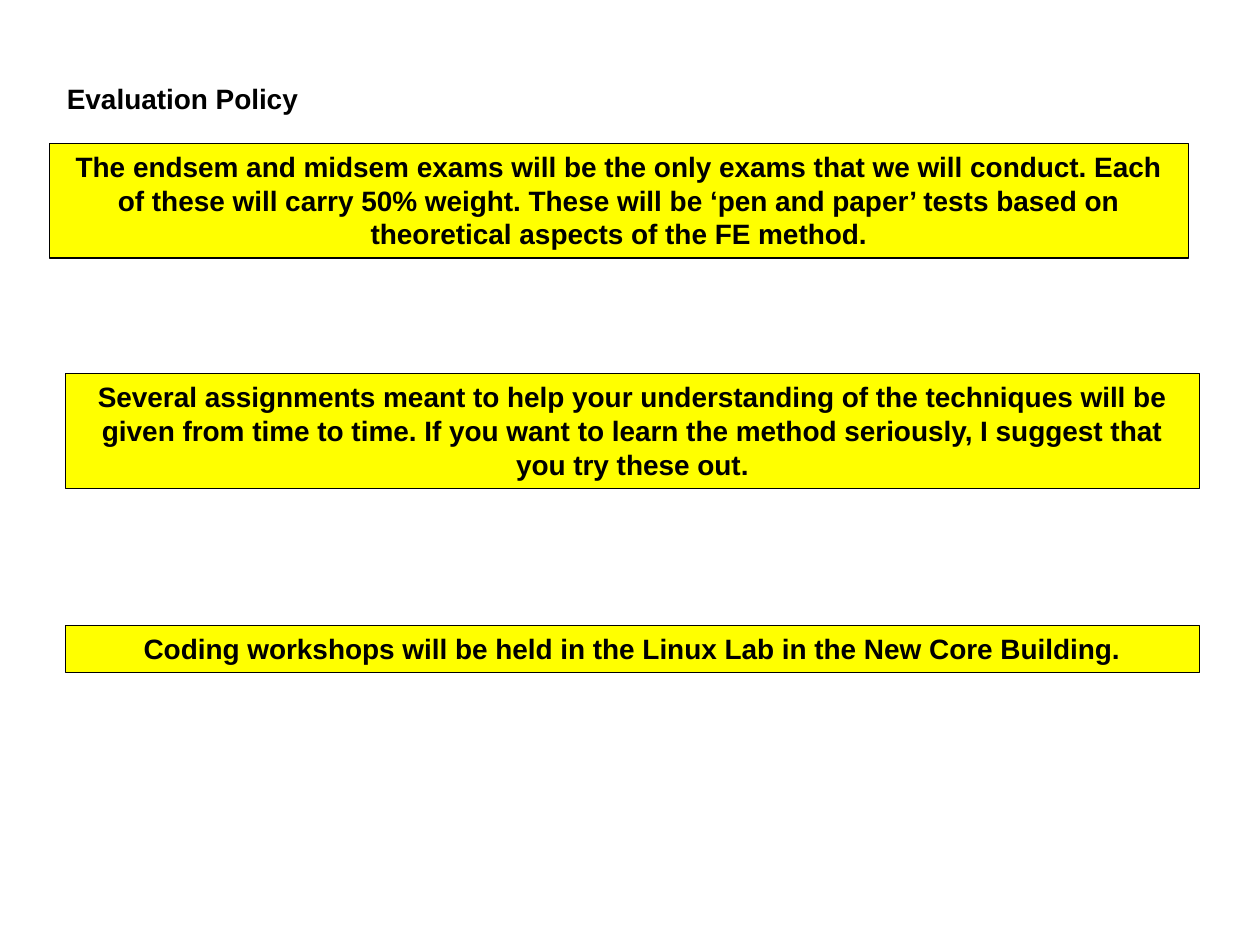
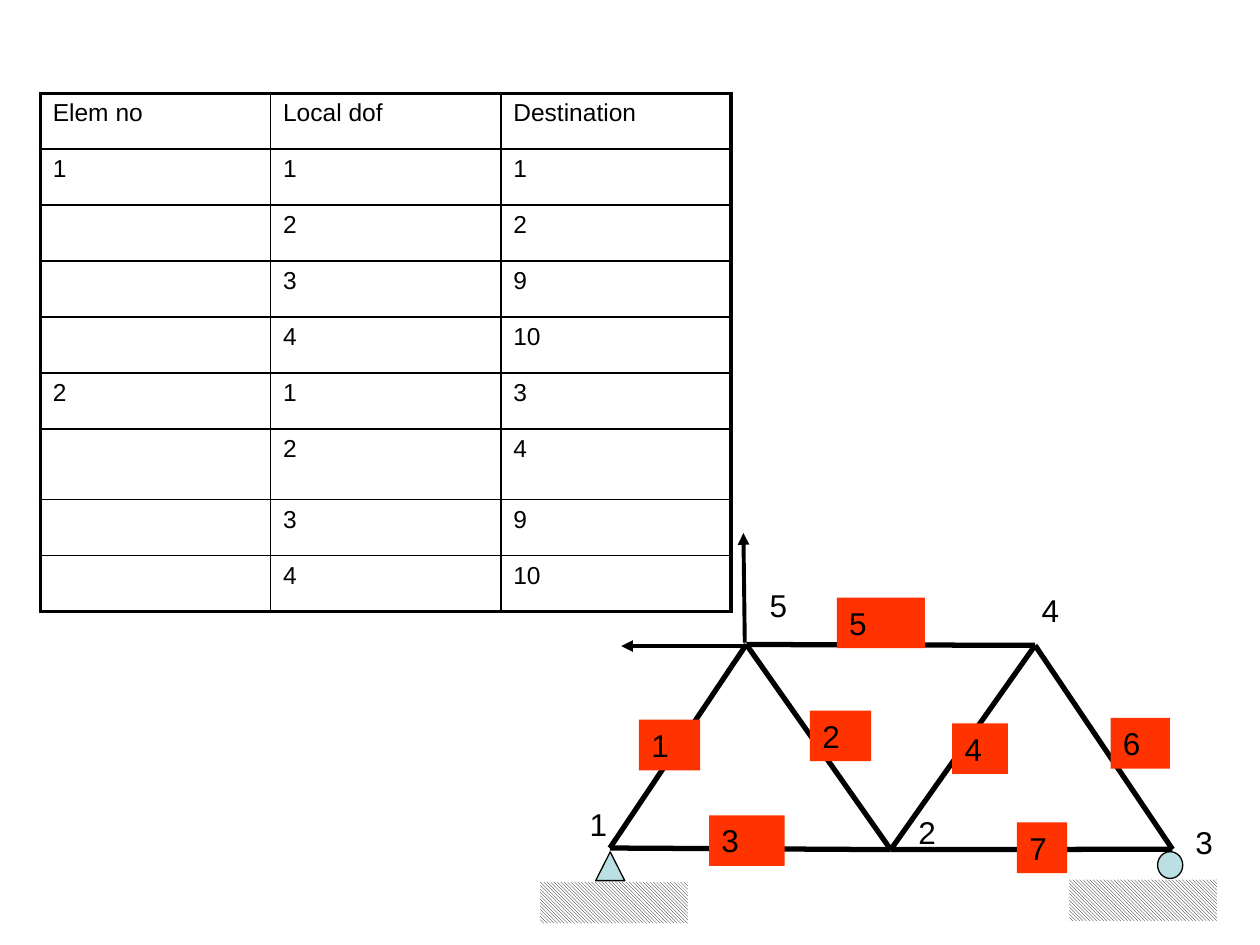
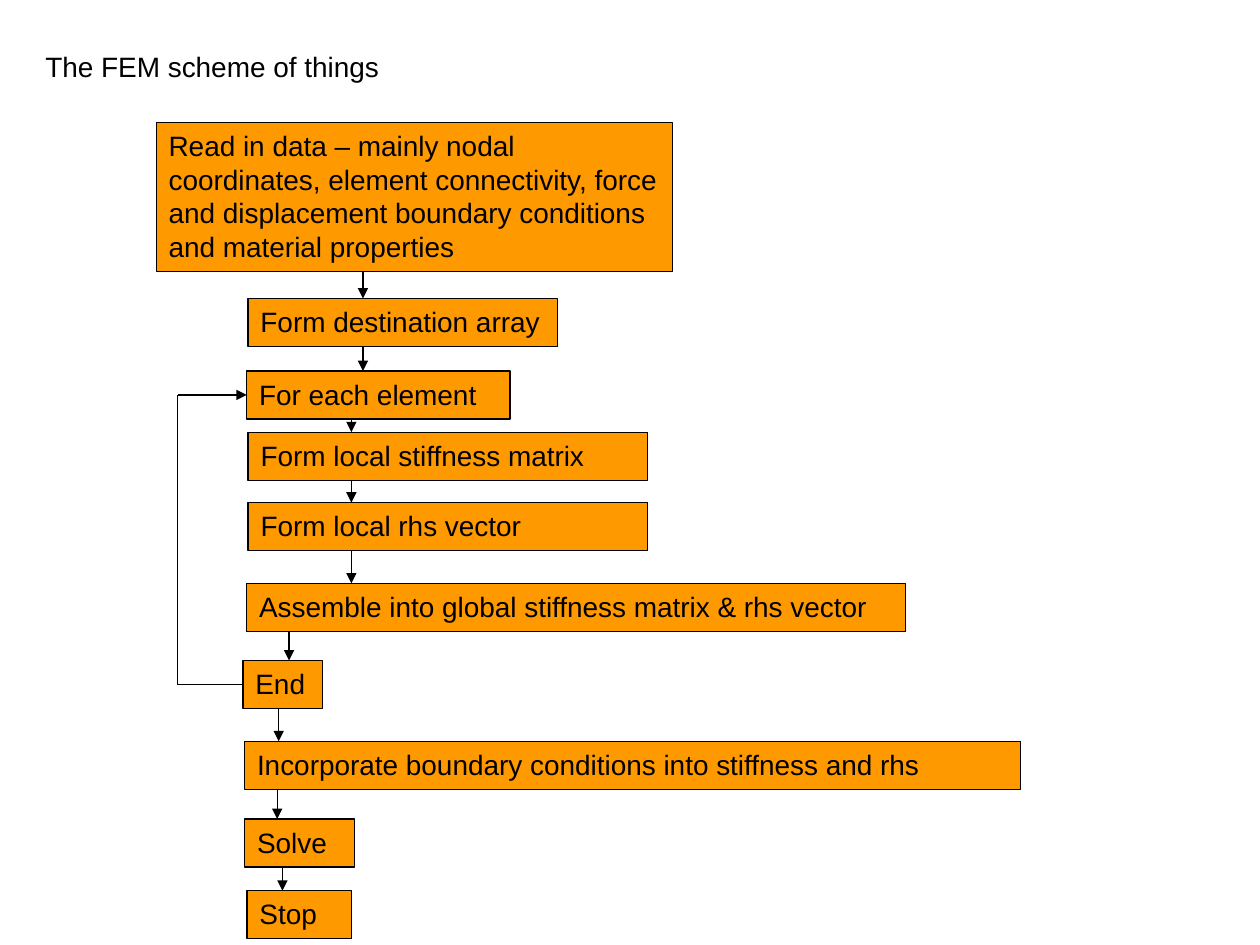
from dataclasses import dataclass
from itertools import pairwise

from lxml import etree
from pptx import Presentation
from pptx.dml.color import RGBColor
from pptx.enum.dml import MSO_PATTERN
from pptx.enum.shapes import MSO_CONNECTOR, MSO_SHAPE
from pptx.enum.text import MSO_ANCHOR, MSO_AUTO_SIZE, PP_ALIGN
from pptx.oxml.ns import qn
from pptx.util import Pt

RECT, OVAL, TRIANGLE = MSO_SHAPE.RECTANGLE, MSO_SHAPE.OVAL, MSO_SHAPE.ISOSCELES_TRIANGLE
STRAIGHT = MSO_CONNECTOR.STRAIGHT
HATCH = MSO_PATTERN.DARK_DOWNWARD_DIAGONAL
LEFT, CENTER = PP_ALIGN.LEFT, PP_ALIGN.CENTER
TOP = MSO_ANCHOR.TOP
FIT = MSO_AUTO_SIZE.SHAPE_TO_FIT_TEXT
TITLE_ONLY, BLANK = 5, 6
SIDE_LEFT = 1

FONT = "Arial"
BLACK, WHITE = "000000", "FFFFFF"
YELLOW, ORANGE, RED, PALE_BLUE = "FFFF00", "FF9900", "FF3300", "BBE0E3"
THIN, ARROW, MEMBER = 0.75, 2.25, 3
INNER, OUTER = 1, 2.25


@dataclass
class Box:
    text: str
    x: float
    y: float
    w: float
    h: float


@dataclass
class Step:
    box: Box
    exit_x: float = 0


def rgb(value: str) -> RGBColor:
    return RGBColor.from_string(value)


def place(sp, box: Box) -> None:
    sp.left, sp.top, sp.width, sp.height = Pt(box.x), Pt(box.y), Pt(box.w), Pt(box.h)


def write(tf, text: str, size: float, bold: bool = False, align=LEFT) -> None:
    tf.word_wrap = True
    tf.auto_size = FIT
    tf.vertical_anchor = TOP
    p = tf.paragraphs[0]
    p.text = text
    style(p, size, bold, align)


def style(p, size: float, bold: bool = False, align=LEFT) -> None:
    p.alignment = align
    p.font.name = FONT
    p.font.size = Pt(size)
    p.font.bold = bold
    p.font.color.rgb = rgb(BLACK)


def add_title(s, box: Box, bold: bool = False) -> None:
    sp = s.shapes.title
    place(sp, box)
    write(sp.text_frame, box.text, 16, bold)


def add_label(s, box: Box, size: float) -> None:
    sp = s.shapes.add_textbox(Pt(box.x), Pt(box.y), Pt(box.w), Pt(box.h))
    write(sp.text_frame, box.text, size)


def add_figure(s, kind, box: Box, fill: str, outlined: bool = True):
    sp = s.shapes.add_shape(kind, Pt(box.x), Pt(box.y), Pt(box.w), Pt(box.h))
    sp.shadow.inherit = False
    sp.fill.solid()
    sp.fill.fore_color.rgb = rgb(fill)
    if outlined:
        sp.line.color.rgb = rgb(BLACK)
        sp.line.width = Pt(THIN)
    else:
        sp.line.fill.background()
    return sp


def add_box(s, box: Box, fill: str, size: float = 16, outlined: bool = True,
            bold: bool = False, align=LEFT):
    sp = add_figure(s, RECT, box, fill, outlined)
    write(sp.text_frame, box.text, size, bold, align)
    return sp


def add_ground(s, box: Box) -> None:
    sp = add_figure(s, RECT, box, WHITE, outlined=False)
    sp.fill.patterned()
    sp.fill.pattern = HATCH
    sp.fill.fore_color.rgb = rgb(BLACK)
    sp.fill.back_color.rgb = rgb(WHITE)


def add_line(s, start: tuple[float, float], end: tuple[float, float],
             width: float = THIN, arrow: bool = False):
    cx = s.shapes.add_connector(STRAIGHT, *map(Pt, start + end))
    cx.line.color.rgb = rgb(BLACK)
    cx.line.width = Pt(width)
    props = cx._element.spPr
    if arrow:
        etree.SubElement(props.find(qn("a:ln")), qn("a:tailEnd"), type="triangle")
    etree.SubElement(props, qn("a:effectLst"))
    return cx


def set_borders(cell, widths: dict[str, float]) -> None:
    props = cell._tc.get_or_add_tcPr()
    for i, (side, width) in enumerate(widths.items()):
        ln = etree.Element(qn(f"a:ln{side}"), w=str(Pt(width)))
        fill = etree.SubElement(ln, qn("a:solidFill"))
        etree.SubElement(fill, qn("a:srgbClr"), val=BLACK)
        props.insert(i, ln)


def add_grid(s, rows: list[tuple[str, ...]], x: float, y: float,
             col_width: float, heights: list[float]) -> None:
    n_rows, n_cols = len(rows), len(rows[0])
    frame = s.shapes.add_table(n_rows, n_cols, Pt(x), Pt(y),
                               Pt(col_width * n_cols), Pt(sum(heights)))
    table = frame.table
    table.first_row = table.horz_banding = False
    for col in table.columns:
        col.width = Pt(col_width)
    for i, values in enumerate(rows):
        table.rows[i].height = Pt(heights[i])
        for j, value in enumerate(values):
            cell = table.cell(i, j)
            cell.text = value
            style(cell.text_frame.paragraphs[0], 14)
            cell.fill.background()
            set_borders(cell, {
                "L": OUTER if j == 0 else INNER,
                "R": OUTER if j == n_cols - 1 else INNER,
                "T": OUTER if i == 0 else INNER,
                "B": OUTER if i == n_rows - 1 else INNER,
            })


def build_policy(prs) -> None:
    s = prs.slides.add_slide(prs.slide_layouts[TITLE_ONLY])
    add_title(s, Box("Evaluation Policy", 31, 43.2, 488, 26.6), bold=True)
    rules = [
        Box("Several assignments meant to help your understanding of the techniques will be "
            "given from time to time. If you want to learn the method seriously, I suggest "
            "that you try these out.", 37.4, 213.6, 648, 65.5),
        Box("The endsem and midsem exams will be the only exams that we will conduct. Each "
            "of these will carry 50% weight. These will be ‘pen and paper’ tests based on "
            "theoretical aspects of the FE method.", 28.2, 82, 651, 65.5),
        Box("Coding workshops will be held in the Linux Lab in the New Core Building.",
            37.4, 357.6, 648, 26.6),
    ]
    for rule in rules:
        add_box(s, rule, YELLOW, bold=True, align=CENTER)


def build_truss(prs) -> None:
    s = prs.slides.add_slide(prs.slide_layouts[BLANK])
    destinations = {"1": ("1", "2", "9", "10"), "2": ("3", "4", "9", "10")}
    rows = [("Elem no", "Local dof", "Destination")]
    for elem, targets in destinations.items():
        for dof, target in enumerate(targets, 1):
            rows.append((elem if dof == 1 else "", str(dof), target))
    add_grid(s, rows, 23, 53.3, 131.6, [32] * 6 + [40.3] + [32] * 2)

    nodes = {1: (348.5, 484.6), 2: (509, 485.5), 3: (670, 485.3),
             4: (591.5, 368.8), 5: (426.5, 368.3)}
    members = [(1, 5), (1, 2), (5, 2), (5, 4), (4, 3), (3, 2), (4, 2)]
    for a, b in members:
        add_line(s, nodes[a], nodes[b], MEMBER)

    add_figure(s, TRIANGLE, Box("", 340.4, 486.8, 16.6, 16.4), PALE_BLUE)
    add_figure(s, OVAL, Box("", 661.5, 486.7, 14.4, 15.3), PALE_BLUE)
    for x, y in [(308.7, 504), (611, 502.7)]:
        add_ground(s, Box("", x, y, 84.4, 23.6))
    add_line(s, (425.6, 367.2), (424.8, 304.6), ARROW, arrow=True)
    add_line(s, (424.8, 369.2), (355, 369.2), ARROW, arrow=True)

    height = 28.9
    node_labels = [(329.8, 456.5, 49.7), (517.7, 460.8, 29.5), (676, 467, 43.9),
                   (588.2, 334.2, 58.3), (432.7, 331.3, 38.2)]
    for i, (x, y, w) in enumerate(node_labels, 1):
        add_label(s, Box(str(i), x, y, w, height), 18)
    member_tags = [(365.1, 411.3, 35), (462.8, 406.1, 35), (405.2, 465.9, 43.2),
                   (544.1, 413.4, 31.8), (478.2, 341.5, 50.4), (634.6, 410.3, 34),
                   (581.1, 470, 28.8)]
    for i, (x, y, w) in enumerate(member_tags, 1):
        add_box(s, Box(str(i), x, y, w, height), RED, size=18, outlined=False)


def build_scheme(prs) -> None:
    s = prs.slides.add_slide(prs.slide_layouts[TITLE_ONLY])
    add_title(s, Box("The FEM scheme of things", 18.7, 24.5, 417, 26.6))
    h = 27.4
    steps = [
        Step(Box("Read in data – mainly nodal coordinates, element connectivity, force and "
                 "displacement boundary conditions and material properties",
                 89.3, 70, 295.2, 85), 207.4),
        Step(Box("Form destination array", 141.8, 170.6, 177, h), 207.4),
        Step(Box("For each element", 141, 212, 150.5, h), 200.8),
        Step(Box("Form local stiffness matrix", 141.8, 247, 228.4, h), 200.8),
        Step(Box("Form local rhs vector", 141.8, 287.2, 228.4, h), 200.8),
        Step(Box("Assemble into global stiffness matrix & rhs vector",
                 141, 333.4, 376.6, h), 165.2),
        Step(Box("End", 138.9, 377.5, 45.4, h), 159.3),
        Step(Box("Incorporate boundary conditions into stiffness and rhs",
                 139.8, 423.6, 443.4, h), 158.4),
        Step(Box("Solve", 139.8, 468, 62.8, h), 161.4),
        Step(Box("Stop", 141.2, 509, 59.6, h)),
    ]
    shapes = {step.box.text: add_box(s, step.box, ORANGE) for step in steps}
    for step, following in pairwise(steps):
        x = step.exit_x
        add_line(s, (x, step.box.y + step.box.h), (x, following.box.y), arrow=True)

    loop_x = 101.6
    first, last = steps[2].box, steps[6].box
    top, bottom = first.y + h / 2, last.y + h / 2
    exit_line = add_line(s, (last.x, bottom), (loop_x, bottom))
    exit_line.begin_connect(shapes[last.text], SIDE_LEFT)
    add_line(s, (loop_x, bottom), (loop_x, top))
    return_line = add_line(s, (loop_x, top), (first.x, top), arrow=True)
    return_line.end_connect(shapes[first.text], SIDE_LEFT)


def main() -> None:
    prs = Presentation()
    prs.slide_width, prs.slide_height = Pt(720), Pt(540)
    build_policy(prs)
    build_truss(prs)
    build_scheme(prs)
    prs.save("out.pptx")


if __name__ == "__main__":
    main()
